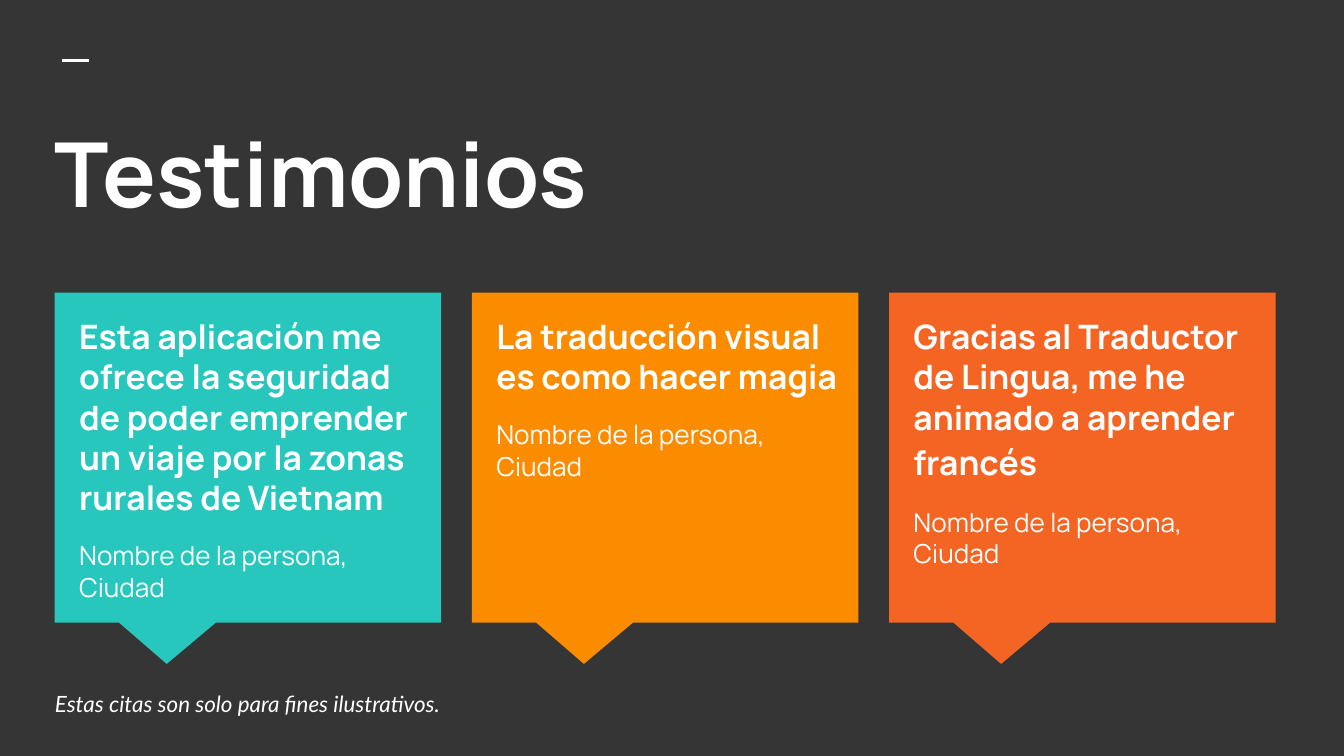
"""Build a testimonials slide with three coloured quote callouts."""
from dataclasses import dataclass

from lxml.etree import SubElement
from pptx import Presentation
from pptx.dml.color import RGBColor
from pptx.enum.shapes import MSO_CONNECTOR, MSO_SHAPE
from pptx.enum.text import MSO_ANCHOR
from pptx.oxml.ns import qn
from pptx.util import Pt


@dataclass(frozen=True)
class Theme:
    back: str = "353535"
    ink: str = "FFFFFF"
    teal: str = "27C7BD"
    amber: str = "FB8C00"
    coral: str = "F46524"
    main: str = "Manrope"
    side: str = "Lato"
    title: int = 48
    quote: int = 18
    space: int = 21
    name: int = 14
    note: int = 12


THEME = Theme()
LEFT, TOP, PITCH = 29.3, 156.8, 223.5
WIDTH, HEIGHT = 207, 176.8
PERSON = "Nombre de la persona, Ciudad"
CARDS = [
    (THEME.teal, 195, "Esta aplicación me ofrece la seguridad de poder "
     "emprender un viaje por la zonas rurales de Vietnam"),
    (THEME.amber, 201, "La traducción visual es como hacer magia"),
    (THEME.coral, 195, "Gracias al Traductor de Lingua, me he animado "
     "a aprender francés"),
]


def color(code):
    return RGBColor.from_string(code)


def style(para, size, face=THEME.main, bold=False, slant=False):
    for run in para.runs:
        font = run.font
        font.name, font.size = face, Pt(size)
        font.bold, font.italic = bold, slant
        font.color.rgb = color(THEME.ink)


def add_text(slide, x, y, w, h, text, anchor=MSO_ANCHOR.TOP):
    frame = slide.shapes.add_textbox(Pt(x), Pt(y), Pt(w), Pt(h)).text_frame
    frame.word_wrap = True
    frame.vertical_anchor = anchor
    frame.margin_left = frame.margin_right = Pt(7.2)
    frame.margin_top = frame.margin_bottom = Pt(7.2)
    frame.text = text
    return frame


def add_dash(slide, x, y, w):
    dash = slide.shapes.add_connector(
        MSO_CONNECTOR.STRAIGHT, Pt(x), Pt(y), Pt(x + w), Pt(y))
    dash.line.color.rgb = color(THEME.ink)
    dash.line.width = Pt(1.5)
    SubElement(dash._element.spPr, qn("a:effectLst"))


def add_bubble(slide, x, fill):
    shape = slide.shapes.add_shape(
        MSO_SHAPE.RECTANGULAR_CALLOUT, Pt(x), Pt(TOP), Pt(WIDTH), Pt(HEIGHT))
    shape.adjustments[0] = -0.21
    shape.adjustments[1] = 0.625
    shape.shadow.inherit = False
    shape.fill.solid()
    shape.fill.fore_color.rgb = color(fill)
    shape.line.fill.background()


def add_quote(slide, x, width, text):
    frame = add_text(slide, x + 6, 162, width, 157.7, text)
    quote = frame.paragraphs[0]
    style(quote, THEME.quote, bold=True)
    person = frame.add_paragraph()
    person.text = PERSON
    person.space_before = person.space_after = Pt(12)
    style(person, THEME.name)
    return quote


def add_space(quote):
    run = quote.add_run()
    run.text = " "
    run.font.name, run.font.size = THEME.main, Pt(THEME.space)
    run.font.bold = True


def main():
    deck = Presentation()
    deck.slide_width, deck.slide_height = Pt(720), Pt(405)
    slide = deck.slides.add_slide(deck.slide_layouts[6])
    slide.background.fill.solid()
    slide.background.fill.fore_color.rgb = color(THEME.back)

    add_dash(slide, 33.5, 32.5, 14.2)
    title = add_text(slide, 22.4, 56.2, 679, 80.6, "Testimonios")
    style(title.paragraphs[0], THEME.title, bold=True)

    for col, (fill, width, text) in enumerate(CARDS):
        x = LEFT + col * PITCH
        add_bubble(slide, x, fill)
        quote = add_quote(slide, x, width, text)
    add_space(quote)

    note = add_text(slide, 22.4, 366.6, 491.8, 20.2,
                    "Estas citas son solo para fines ilustrativos.",
                    MSO_ANCHOR.MIDDLE)
    style(note.paragraphs[0], THEME.note, THEME.side, slant=True)
    deck.save("out.pptx")


if __name__ == "__main__":
    main()
